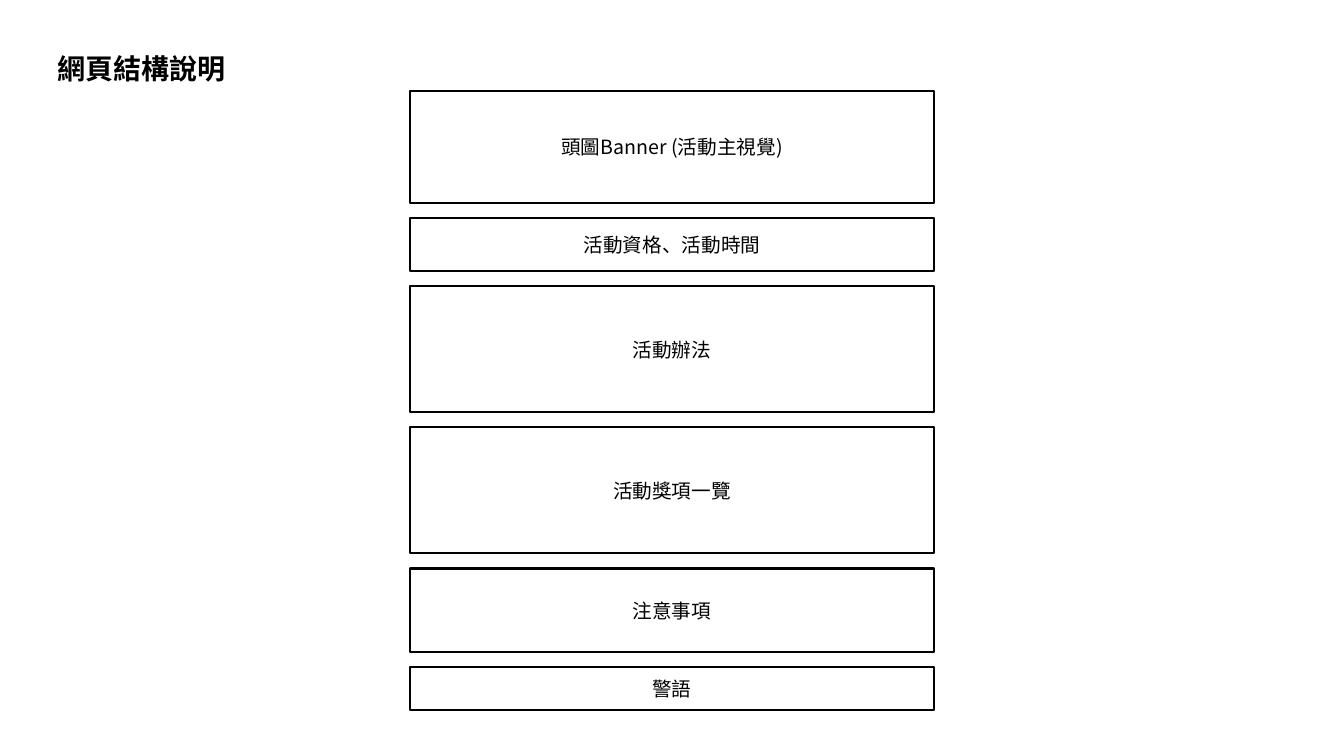
"""Build a slide that outlines the sections of a campaign web page."""
from dataclasses import dataclass

from pptx import Presentation
from pptx import util as u
from pptx.dml.color import RGBColor
from pptx.enum import shapes, text
from pptx.oxml.ns import qn
from pptx.slide import Slide
from pptx.text.text import TextFrame

BLACK = RGBColor(0x00, 0x00, 0x00)
FONT = "Noto Sans CJK TC"
SECTION_LEFT = 4.07
SECTION_WIDTH = 5.19
SECTION_TOP = 0.9
SECTION_GAP = 0.15


@dataclass(frozen=True)
class Section:
    label: str
    height: float


SECTIONS = [
    Section("頭圖Banner (活動主視覺)", 1.11),
    Section("活動資格、活動時間", 0.53),
    Section("活動辦法", 1.25),
    Section("活動獎項一覽", 1.25),
    Section("注意事項", 0.83),
    Section("警語", 0.42),
]


def write_text(frame: TextFrame, content: str, size: int, bold: bool,
               alignment: text.PP_ALIGN, anchor: text.MSO_ANCHOR) -> None:
    frame.text = content
    frame.word_wrap = True
    frame.vertical_anchor = anchor
    paragraph = frame.paragraphs[0]
    paragraph.alignment = alignment
    font = paragraph.runs[0].font
    font.size = u.Pt(size)
    font.bold = bold
    font.color.rgb = BLACK
    font.name = FONT
    east_asian = font._element.makeelement(qn("a:ea"), {"typeface": FONT})
    font._element.find(qn("a:latin")).addnext(east_asian)


def add_title(slide: Slide, content: str) -> None:
    title = slide.shapes.title
    title.left, title.top = u.Inches(0.47), u.Inches(0.46)
    title.width, title.height = u.Inches(2.45), u.Inches(0.44)
    write_text(title.text_frame, content, 20, True,
               text.PP_ALIGN.LEFT, text.MSO_ANCHOR.TOP)


def add_section(slide: Slide, section: Section, top: float) -> None:
    shape = slide.shapes.add_shape(
        shapes.MSO_SHAPE.RECTANGLE, u.Inches(SECTION_LEFT), u.Inches(top),
        u.Inches(SECTION_WIDTH), u.Inches(section.height))
    shape.shadow.inherit = False
    shape.fill.background()
    shape.line.color.rgb = BLACK
    shape.line.width = u.Pt(1.5)
    write_text(shape.text_frame, section.label, 14, False,
               text.PP_ALIGN.CENTER, text.MSO_ANCHOR.MIDDLE)


def main() -> None:
    presentation = Presentation()
    presentation.slide_width = u.Inches(13.33)
    presentation.slide_height = u.Inches(7.5)
    slide = presentation.slides.add_slide(presentation.slide_layouts[5])
    add_title(slide, "網頁結構說明")
    top = SECTION_TOP
    for section in SECTIONS:
        add_section(slide, section, top)
        top += section.height + SECTION_GAP
    presentation.save("out.pptx")


if __name__ == "__main__":
    main()
